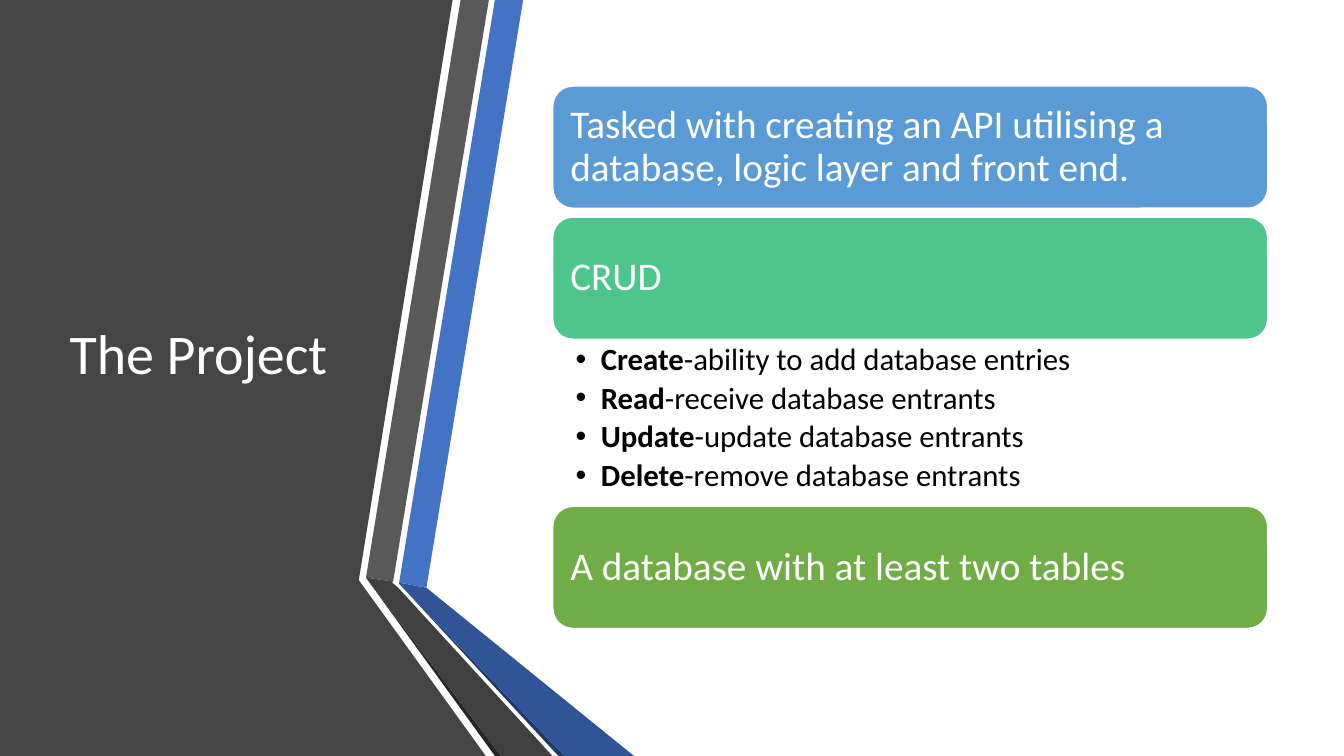
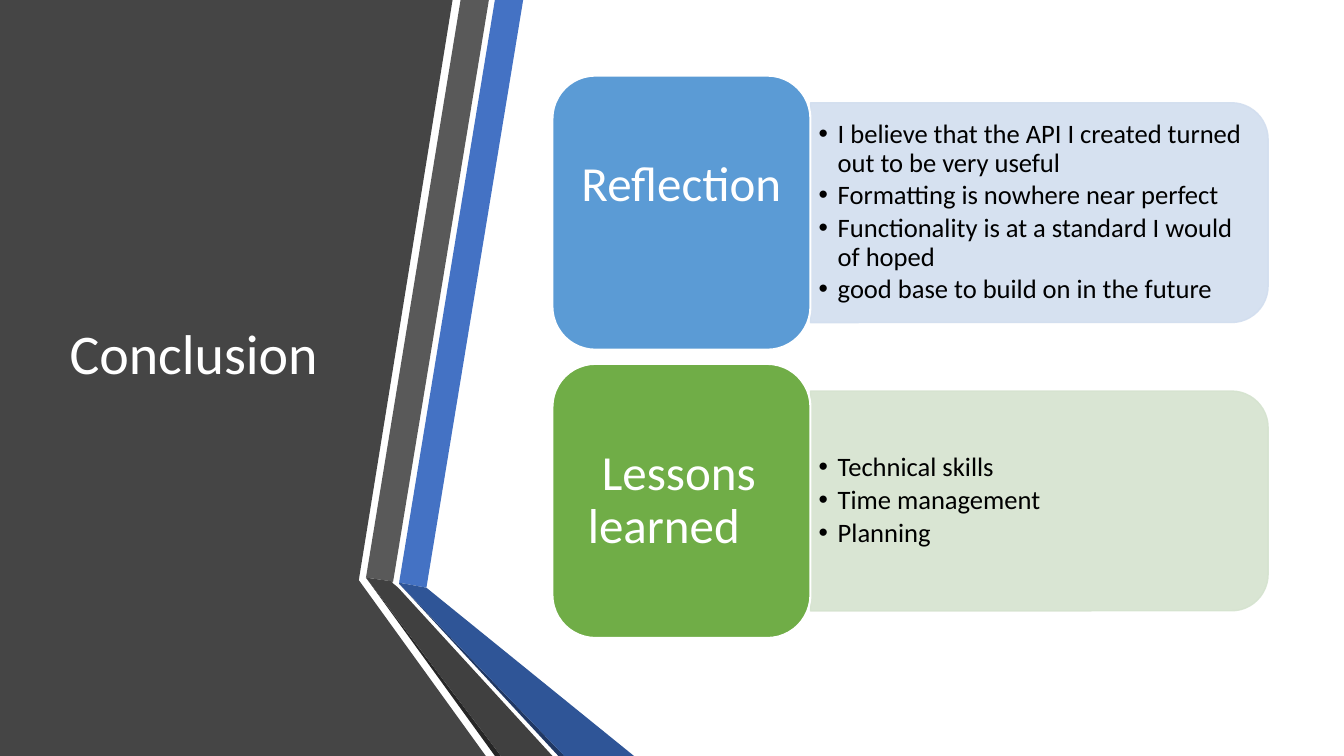
from typing import NamedTuple

from lxml import etree
from pptx import Presentation
from pptx.dml.color import RGBColor
from pptx.enum.shapes import MSO_SHAPE
from pptx.enum.text import MSO_ANCHOR, MSO_AUTO_SIZE, PP_ALIGN
from pptx.oxml.ns import qn
from pptx.util import Pt

ROUNDED = MSO_SHAPE.ROUNDED_RECTANGLE
ROUNDED_TOP = MSO_SHAPE.ROUND_2_SAME_RECTANGLE
MIDDLE, TOP = MSO_ANCHOR.MIDDLE, MSO_ANCHOR.TOP
LEFT, CENTER = PP_ALIGN.LEFT, PP_ALIGN.CENTER
NO_AUTOFIT = MSO_AUTO_SIZE.NONE

# Shared style
FONT = "Calibri"
WHITE = RGBColor(0xFF, 0xFF, 0xFF)
BLACK = RGBColor(0, 0, 0)
CHARCOAL = RGBColor(0x45, 0x45, 0x45)
GREY = RGBColor(0x59, 0x59, 0x59)
DARK_GREY = RGBColor(0x40, 0x40, 0x40)
SHADOW_GREY = RGBColor(0x26, 0x26, 0x26)
ROYAL = RGBColor(0x44, 0x72, 0xC4)
DARK_ROYAL = RGBColor(0x2F, 0x55, 0x97)
NAVY = RGBColor(0x20, 0x38, 0x64)
BLUE = RGBColor(0x5B, 0x9B, 0xD5)
TEAL = RGBColor(0x4D, 0xC5, 0x8D)
GREEN = RGBColor(0x70, 0xAD, 0x47)
PALE_BLUE = RGBColor(0xD2, 0xDE, 0xEF)
PALE_GREEN = RGBColor(0xD5, 0xE3, 0xCF)

PAGE_WIDTH, PAGE_HEIGHT = 960, 540
CONTENT_LEFT = 394.6


class Box(NamedTuple):
    left: float
    top: float
    width: float
    height: float


class Insets(NamedTuple):
    left: float
    top: float
    right: float
    bottom: float


class Band(NamedTuple):
    color: RGBColor
    points: list[tuple[float, float]]


class ListStyle(NamedTuple):
    size: float
    indent: float
    space_after: float
    anchor: MSO_ANCHOR
    insets: Insets


class Topic(NamedTuple):
    label: str
    color: RGBColor
    panel_color: RGBColor
    items: list[str]
    align: PP_ALIGN
    margin: float
    first_indent: float
    lift: float


TITLE_BOX = Box(42.5, 54, 218.9, 401.8)
BANDS = [
    Band(CHARCOAL, [(0, 0), (323.3, 0), (256.3, 414.4), (347, 540), (0, 540)]),
    Band(ROYAL, [(285.1, 416.2), (304.6, 419.8), (373.7, 0), (353.5, 0)]),
    Band(GREY, [(349.2, 0), (329, 0), (261.4, 412.6), (280.8, 415.4)]),
    Band(SHADOW_GREY, [(261.4, 412.6), (353.5, 540), (357.8, 540)]),
    Band(NAVY, [(285.1, 416.9), (398.9, 540), (403.2, 540)]),
    Band(DARK_ROYAL, [(285.1, 416.2), (285.1, 416.9), (403.2, 540),
                      (452.9, 540), (304.6, 419.8)]),
    Band(DARK_GREY, [(394.6, 540), (284.4, 419.8), (280.1, 416.2),
                     (280.8, 415.4), (261.4, 412.6), (357.8, 540)]),
]

# Project slide
CARD_WIDTH, CARD_HEIGHT, CARD_GAP = 511.2, 87.8, 5.8
CARD_TOP = 61.2
CRUD_HEIGHT = 118.8
CARD_INSETS = Insets(8.6, 8.6, 8.6, 8.6)
CRUD_STYLE = ListStyle(22, 18, 4, TOP, Insets(16.6, 2.9, 15.8, 2.9))
CRUD_ITEMS = [
    "Create|-ability to add database entries",
    "Read|-receive database entrants",
    "Update|-update database entrants",
    "Delete|-remove database entrants",
]

# Conclusion slide
TILE_TOP, TILE_WIDTH, TILE_HEIGHT, TILE_GAP = 54, 184.3, 195.8, 10.1
PANEL_WIDTH, PANEL_HEIGHT = 326.9, 157
PANEL_TEXT_WIDTH, PANEL_TEXT_HEIGHT = 319.7, 141.8
PANEL_STYLE = ListStyle(19, 13.7, 2.8, MIDDLE, Insets(5.8, 2.9, 5.8, 2.9))
TOPICS = [
    Topic("Reflection", BLUE, PALE_BLUE, [
        "I believe that the API I created turned out to be very useful",
        "Formatting is nowhere near perfect",
        "Functionality is at a standard I would of hoped",
        "good base to build on in the future",
    ], CENTER, 0, 0, 38),
    Topic("Lessons learned", GREEN, PALE_GREEN, [
        "Technical skills", "Time management", "Planning",
    ], LEFT, 5.5, 10, 0),
]


def place(shape, box: Box) -> None:
    shape.left, shape.top, shape.width, shape.height = map(Pt, box)


def bring_to_front(shape) -> None:
    shape.element.getparent().append(shape.element)


def set_frame(frame, insets: Insets, anchor: MSO_ANCHOR) -> None:
    frame.word_wrap = True
    frame.auto_size = NO_AUTOFIT
    frame.vertical_anchor = anchor
    frame.margin_left, frame.margin_top, frame.margin_right, frame.margin_bottom = map(
        Pt, insets)


def set_para(para, size: float, color: RGBColor, align: PP_ALIGN = LEFT) -> None:
    para.alignment = align
    para.line_spacing = 0.9
    para.space_before = Pt(0)
    para.font.name, para.font.size = FONT, Pt(size)
    para.font.color.rgb = color


def set_indent(para, margin: float, first_indent: float):
    properties = para._p.get_or_add_pPr()
    properties.set("marL", str(Pt(margin)))
    properties.set("indent", str(Pt(first_indent)))
    return properties


def add_bullet(para, indent: float) -> None:
    properties = set_indent(para, indent, -indent)
    defaults = properties.find(qn("a:defRPr"))
    for tag, name, value in (("a:buFont", "typeface", "Arial"), ("a:buChar", "char", "•")):
        bullet = etree.Element(qn(tag))
        bullet.set(name, value)
        defaults.addprevious(bullet)


def set_opacity(shape, percent: int) -> None:
    for color in shape.element.spPr.iter(qn("a:srgbClr")):
        etree.SubElement(color, qn("a:alpha")).set("val", str(percent * 1000))


def add_block(page, kind: MSO_SHAPE, box: Box, fill: RGBColor, line: RGBColor, weight: float):
    block = page.shapes.add_shape(kind, *map(Pt, box))
    block.shadow.inherit = False
    block.fill.solid()
    block.fill.fore_color.rgb = fill
    block.line.color.rgb = line
    block.line.width = Pt(weight)
    return block


def add_label(page, box: Box, fill: RGBColor, text: str, size: float,
              insets: Insets, align: PP_ALIGN = LEFT):
    """Rounded block with white text; returns its paragraph."""
    block = add_block(page, ROUNDED, box, fill, WHITE, 1.5)
    set_frame(block.text_frame, insets, MIDDLE)
    para = block.text_frame.paragraphs[0]
    para.text = text
    set_para(para, size, WHITE, align)
    return para


def fill_list(body, box: Box, items: list[str], style: ListStyle) -> None:
    """Bulleted list; the part of an item before a bar is bold."""
    place(body, box)
    bring_to_front(body)
    frame = body.text_frame
    set_frame(frame, style.insets, style.anchor)
    for index, item in enumerate(items):
        para = frame.add_paragraph() if index else frame.paragraphs[0]
        set_para(para, style.size, BLACK)
        para.space_after = Pt(style.space_after)
        add_bullet(para, style.indent)
        lead, _, rest = item.rpartition("|")
        if lead:
            span = para.add_run()
            span.text = lead
            span.font.bold = True
        para.add_run().text = rest


def add_page(deck, layout_name: str, title: str):
    """Slide with the shared bands and title."""
    page = deck.slides.add_slide(deck.slide_layouts.get_by_name(layout_name))
    for band in BANDS:
        start, *others = [(Pt(x), Pt(y)) for x, y in band.points]
        builder = page.shapes.build_freeform(*start)
        builder.add_line_segments(others, close=True)
        outline = builder.convert_to_shape()
        outline.shadow.inherit = False
        outline.fill.solid()
        outline.fill.fore_color.rgb = band.color
        outline.line.fill.background()
    heading = page.shapes.title
    place(heading, TITLE_BOX)
    bring_to_front(heading)
    set_frame(heading.text_frame, Insets(7.2, 3.6, 7.2, 3.6), MIDDLE)
    para = heading.text_frame.paragraphs[0]
    para.text = title
    set_para(para, 40, WHITE)
    return page


def build_project(deck) -> None:
    page = add_page(deck, "Title and Content", "The Project")
    crud_top = CARD_TOP + 2 * CARD_HEIGHT + CARD_GAP
    cards = [
        (CARD_TOP, BLUE,
         "Tasked with creating an API utilising a database, logic layer and front end."),
        (CARD_TOP + CARD_HEIGHT + CARD_GAP, TEAL, "CRUD"),
        (crud_top + CRUD_HEIGHT, GREEN, "A database with at least two tables"),
    ]
    for top, color, text in cards:
        box = Box(CONTENT_LEFT, top, CARD_WIDTH, CARD_HEIGHT)
        add_label(page, box, color, text, 28, CARD_INSETS)
    fill_list(page.placeholders[1], Box(CONTENT_LEFT, crud_top, CARD_WIDTH, CRUD_HEIGHT),
              CRUD_ITEMS, CRUD_STYLE)


def build_conclusion(deck) -> None:
    page = add_page(deck, "Two Content", "Conclusion")
    panel_left = CONTENT_LEFT + TILE_WIDTH
    for index, topic in enumerate(TOPICS):
        top = TILE_TOP + index * (TILE_HEIGHT + TILE_GAP)
        middle = top + TILE_HEIGHT / 2
        # The panel stands upright and is turned so its round corners face right
        center = panel_left + PANEL_WIDTH / 2
        upright = Box(center - PANEL_HEIGHT / 2, middle - PANEL_WIDTH / 2,
                      PANEL_HEIGHT, PANEL_WIDTH)
        panel = add_block(page, ROUNDED_TOP, upright, topic.panel_color, topic.panel_color, 1)
        panel.rotation = 90
        set_opacity(panel, 90)
        text_box = Box(panel_left, middle - PANEL_TEXT_HEIGHT / 2,
                       PANEL_TEXT_WIDTH, PANEL_TEXT_HEIGHT)
        fill_list(page.placeholders[index + 1], text_box, topic.items, PANEL_STYLE)
        tile = Box(CONTENT_LEFT, top, TILE_WIDTH, TILE_HEIGHT)
        para = add_label(page, tile, topic.color, topic.label, 35,
                         Insets(10.8, 5, 10.8, 5 + topic.lift), topic.align)
        set_indent(para, topic.margin, topic.first_indent)


def main() -> None:
    deck = Presentation()
    deck.slide_width, deck.slide_height = Pt(PAGE_WIDTH), Pt(PAGE_HEIGHT)
    build_project(deck)
    build_conclusion(deck)
    deck.save("out.pptx")


if __name__ == "__main__":
    main()
